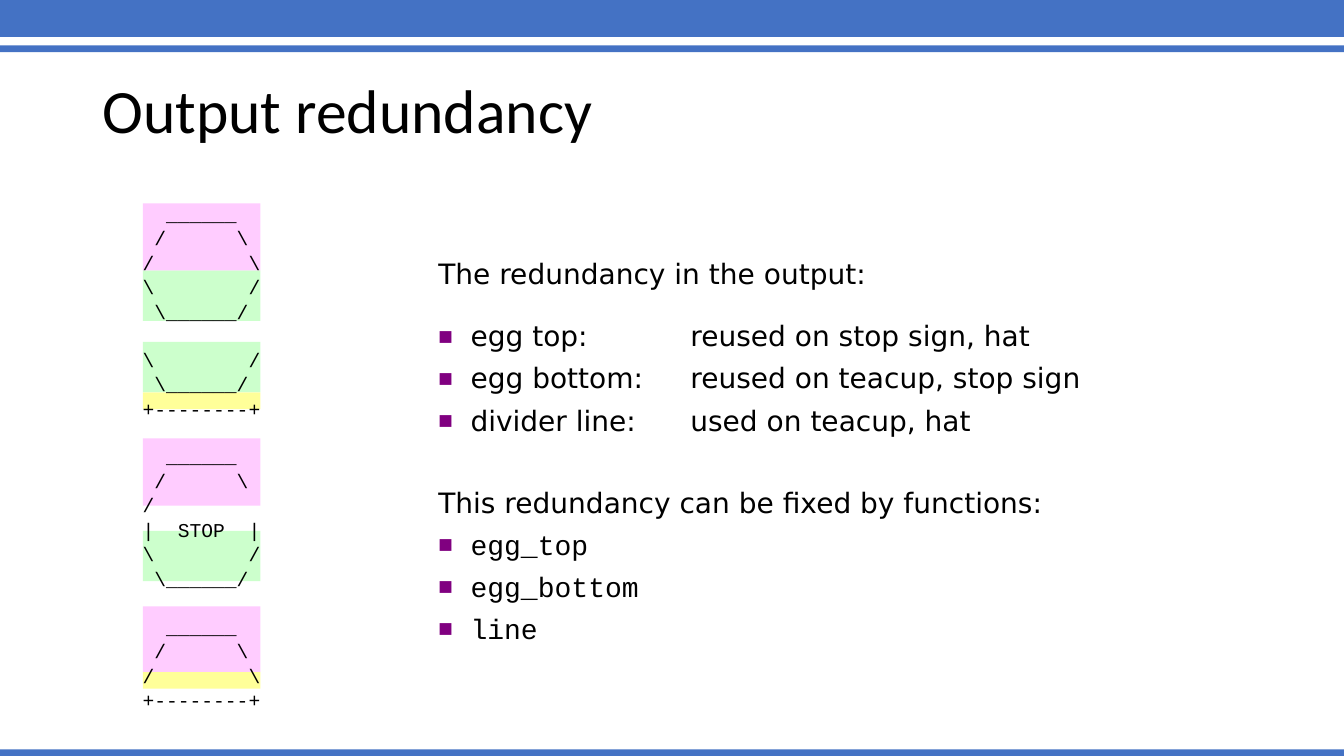
from lxml import etree
from pptx import Presentation
from pptx.dml.color import RGBColor
from pptx.enum.shapes import MSO_SHAPE
from pptx.enum.text import MSO_ANCHOR, MSO_AUTO_SIZE, PP_ALIGN
from pptx.oxml.ns import qn
from pptx.util import Inches, Pt

RECTANGLE = MSO_SHAPE.RECTANGLE
MIDDLE, TOP = MSO_ANCHOR.MIDDLE, MSO_ANCHOR.TOP
LEFT = PP_ALIGN.LEFT
NO_AUTO_SIZE = MSO_AUTO_SIZE.NONE

BLUE = RGBColor(0x44, 0x72, 0xC4)
PINK = RGBColor(0xFF, 0xCC, 0xFF)
GREEN = RGBColor(0xCC, 0xFF, 0xCC)
YELLOW = RGBColor(0xFF, 0xFF, 0x99)
BLACK = RGBColor(0x00, 0x00, 0x00)
PURPLE = RGBColor(0x80, 0x00, 0x80)

HEADING_FONT, TEXT_FONT, CODE_FONT = "Calibri", "DejaVu Sans", "Courier New"
COLUMNS, ROWS = 160, 90
TITLE_ONLY = 5

# Row and height of each highlighted part of the figures
PARTS = {
    YELLOW: [(80, 2), (46.7, 2)],
    GREEN: [(63.2, 6), (40.7, 6), (32.2, 6)],
    PINK: [(52.2, 8), (72.2, 7.8), (24.2, 8)],
}
EGG_TOP = ["  ______", " /      \\", "/        \\"]
EGG_BOTTOM = ["\\        /", " \\______/"]
DIVIDER = ["+--------+"]
STOP_SIGN = EGG_TOP[:2] + ["/       ", "|  STOP  |"] + EGG_BOTTOM
FIGURES = [EGG_TOP + EGG_BOTTOM, EGG_BOTTOM + DIVIDER, STOP_SIGN, EGG_TOP + DIVIDER]
ART_GAP, ART_FIGURE_GAP = 5.7, 22.5

REUSES = [
    "egg top:\treused on stop sign, hat",
    "egg bottom:\treused on teacup, stop sign",
    "divider line:\tused on teacup, hat",
]
FUNCTIONS = ["egg_top", "egg_bottom", "line"]
LIST_GAP, INTRO_GAP, SECTION_GAP = 6, 20.3, 34.6


def write(frame, text, font=TEXT_FONT, size=20, color=BLACK, before=0, spacing=1.0):
    """Add one formatted paragraph, using the first one while it is empty."""
    first = frame.paragraphs[0]
    paragraph = frame.add_paragraph() if first.runs else first
    paragraph.alignment = LEFT
    paragraph.space_before, paragraph.line_spacing = Pt(before), spacing
    run = paragraph.add_run()
    run.text = text
    run.font.name, run.font.size = font, Pt(size)
    run.font.color.rgb = color
    return paragraph


def add_bullet(paragraph, indent=0.32, tab=2.5):
    """Give a paragraph a small purple square, a hanging indent and a tab stop."""
    properties = paragraph._p.get_or_add_pPr()
    properties.set("marL", str(Inches(indent)))
    properties.set("indent", str(-Inches(indent)))
    color = etree.SubElement(properties, qn("a:buClr"))
    etree.SubElement(color, qn("a:srgbClr"), val=str(PURPLE))
    etree.SubElement(properties, qn("a:buSzPct"), val="55000")
    etree.SubElement(properties, qn("a:buFont"), typeface=TEXT_FONT)
    etree.SubElement(properties, qn("a:buChar"), char="■")
    tabs = etree.SubElement(properties, qn("a:tabLst"))
    etree.SubElement(tabs, qn("a:tab"), pos=str(Inches(tab)), algn="l")


class SlideBuilder:
    """Places elements on the current slide by columns and rows."""

    def __init__(self, presentation):
        """Add a title-only slide and measure its grid."""
        self.slide = presentation.slides.add_slide(presentation.slide_layouts[TITLE_ONLY])
        self.column = presentation.slide_width / COLUMNS
        self.row = presentation.slide_height / ROWS

    def place(self, left, top, width, height):
        """Turn grid positions into lengths."""
        return (round(left * self.column), round(top * self.row),
                round(width * self.column), round(height * self.row))

    def title(self, text, *cells):
        """Move and fill the title placeholder."""
        shape = self.slide.shapes.title
        shape.left, shape.top, shape.width, shape.height = self.place(*cells)
        self.prepare(shape.text_frame, MIDDLE)
        write(shape.text_frame, text, font=HEADING_FONT, size=44, spacing=0.9)

    def block(self, color, *cells):
        """Draw a plain filled rectangle."""
        shape = self.slide.shapes.add_shape(RECTANGLE, *self.place(*cells))
        shape.shadow.inherit = False
        shape.fill.solid()
        shape.fill.fore_color.rgb = color
        shape.line.fill.background()

    def text_box(self, *cells):
        """Add a wrapping text box and return its frame."""
        frame = self.slide.shapes.add_textbox(*self.place(*cells)).text_frame
        self.prepare(frame, TOP)
        return frame

    def prepare(self, frame, anchor):
        """Set wrapping, sizing and anchor of a text frame."""
        frame.word_wrap, frame.auto_size = True, NO_AUTO_SIZE
        frame.vertical_anchor = anchor


def main():
    """Build the slide and save it."""
    presentation = Presentation()
    presentation.slide_width, presentation.slide_height = Inches(13.33), Inches(7.5)
    builder = SlideBuilder(presentation)

    for top, height in [(0, 4.4), (5.4, 0.8), (89.2, 0.8)]:
        builder.block(BLUE, 0, top, COLUMNS, height)
    builder.title("Output redundancy", 11, 4.8, 138, 17.4)

    for color, spans in PARTS.items():
        for top, height in spans:
            builder.block(color, 17, top, 14, height)

    art = builder.text_box(15.8, 24.2, 30, 59.8)
    for figure in FIGURES:
        for index, line in enumerate(figure):
            gap = ART_GAP if index else ART_FIGURE_GAP
            before = 0 if figure is FIGURES[0] and index == 0 else gap
            write(art, line, font=CODE_FONT, size=14, before=before, spacing=0.7)

    notes = builder.text_box(51, 30, 84, 46.3)
    sections = [
        ("The redundancy in the output:", 0, REUSES, TEXT_FONT, INTRO_GAP),
        ("This redundancy can be fixed by functions:", SECTION_GAP,
         FUNCTIONS, CODE_FONT, LIST_GAP),
    ]
    for heading, heading_gap, items, font, first_gap in sections:
        write(notes, heading, before=heading_gap)
        for index, item in enumerate(items):
            before = LIST_GAP if index else first_gap
            add_bullet(write(notes, item, font=font, before=before))

    presentation.save("out.pptx")


main()
